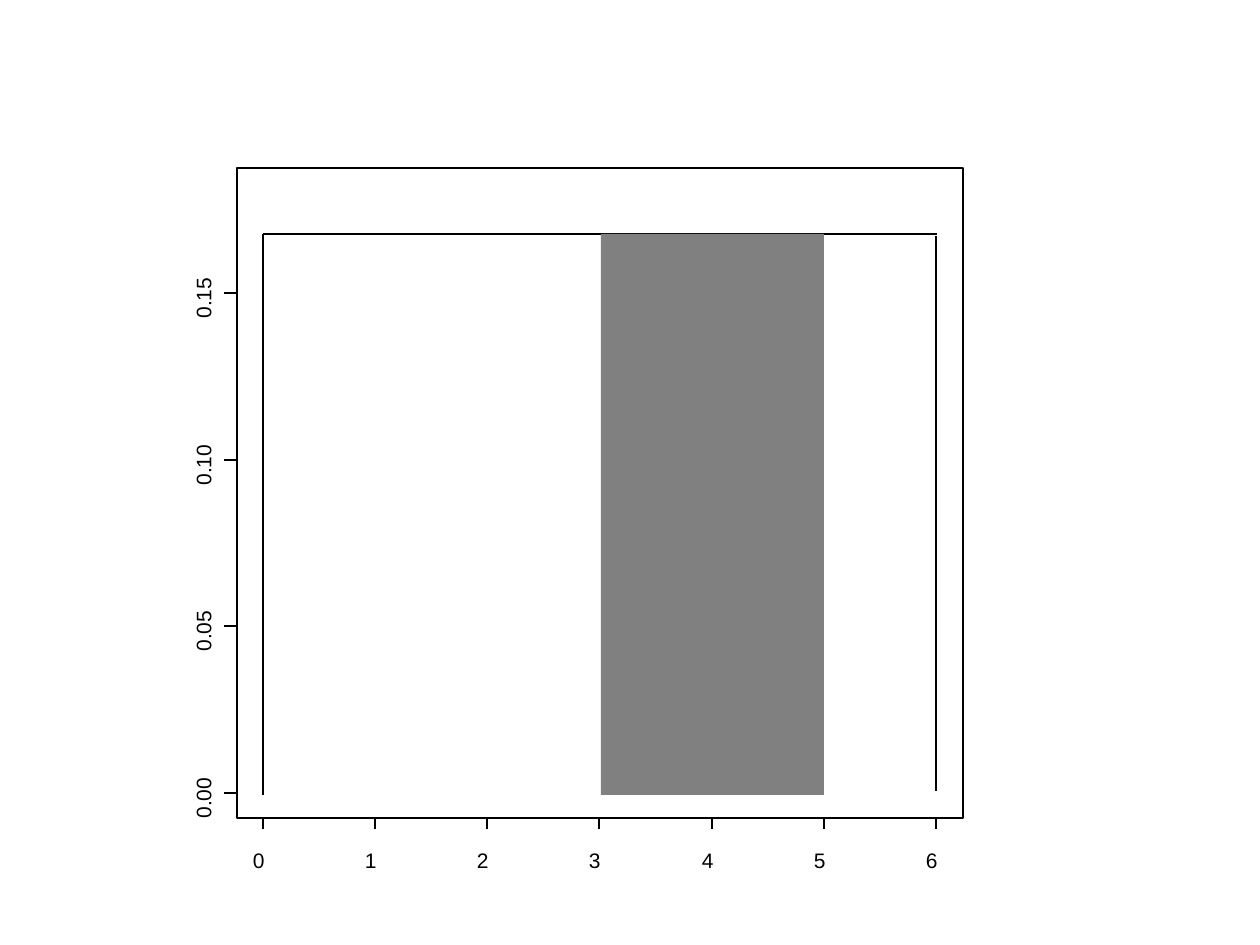
import pptx
import pptx.dml.color
import pptx.enum.shapes
import pptx.enum.text
import pptx.util
from lxml import etree

PX = 914400 / 126
BLACK = pptx.dml.color.RGBColor(0x00, 0x00, 0x00)
GRAY = pptx.dml.color.RGBColor(0x80, 0x80, 0x80)
RECTANGLE = pptx.enum.shapes.MSO_SHAPE.RECTANGLE
EFFECT_LIST = "{http://schemas.openxmlformats.org/drawingml/2006/main}effectLst"

presentation = pptx.Presentation()
presentation.slide_width = round(1260 * PX)
presentation.slide_height = round(945 * PX)
slide = presentation.slides.add_slide(presentation.slide_layouts[6])


def add_line(*ends):
    """Draw a thin black line between x1, y1 and x2, y2 in px."""
    line = slide.shapes.add_connector(
        pptx.enum.shapes.MSO_CONNECTOR.STRAIGHT, *(round(end * PX) for end in ends))
    line.line.color.rgb = BLACK
    line.line.width = pptx.util.Pt(0.75)
    etree.SubElement(line._element.spPr, EFFECT_LIST)


def add_label(text, left, top, width, rotation=0):
    label = slide.shapes.add_textbox(
        *(round(length * PX) for length in (left, top, width, 25)))
    label.rotation = rotation
    frame = label.text_frame
    frame.margin_left = frame.margin_top = frame.margin_right = frame.margin_bottom = 0
    frame.word_wrap = False
    frame.auto_size = pptx.enum.text.MSO_AUTO_SIZE.SHAPE_TO_FIT_TEXT
    paragraph = frame.paragraphs[0]
    paragraph.text = text
    paragraph.font.name = "Arial"
    paragraph.font.size = pptx.util.Pt(12)
    paragraph.font.color.rgb = BLACK


# Horizontal axis
x_zero, x_six, axis_y = 263, 936, 818
add_line(x_zero, axis_y, x_six, axis_y)
for value in range(7):
    tick_x = x_zero + round(value * (x_six - x_zero) / 6)
    add_line(tick_x, axis_y, tick_x, axis_y + 11)
    add_label(str(value), tick_x - 10, 848, 11)

# Vertical axis
y_zero, axis_x = 793, 236
for index in range(4):
    tick_y = y_zero - round(index * 500 / 3)
    add_line(axis_x, tick_y, axis_x - 12, tick_y)
    add_label(f"{index * 0.05:.2f}", 182, tick_y - 8, 42, 270)

# Plot frame
plot_frame = slide.shapes.add_shape(
    RECTANGLE, *(round(length * PX) for length in (237, 168, 726, 650)))
plot_frame.shadow.inherit = False
plot_frame.fill.background()
plot_frame.line.color.rgb = BLACK
plot_frame.line.width = pptx.util.Pt(0.75)

# Uniform density from 0 to 6
density_y = 234
add_line(x_zero, 795, x_zero, density_y)
add_line(x_six, 791, x_six, density_y + 2)
add_line(x_zero, density_y, x_six + 1, density_y)

# Probability between 3 and 5
probability = slide.shapes.add_shape(
    RECTANGLE, *(round(length * PX) for length in (601, density_y, 223, 561)))
probability.shadow.inherit = False
probability.fill.solid()
probability.fill.fore_color.rgb = GRAY
probability.line.fill.background()

presentation.save("out.pptx")
